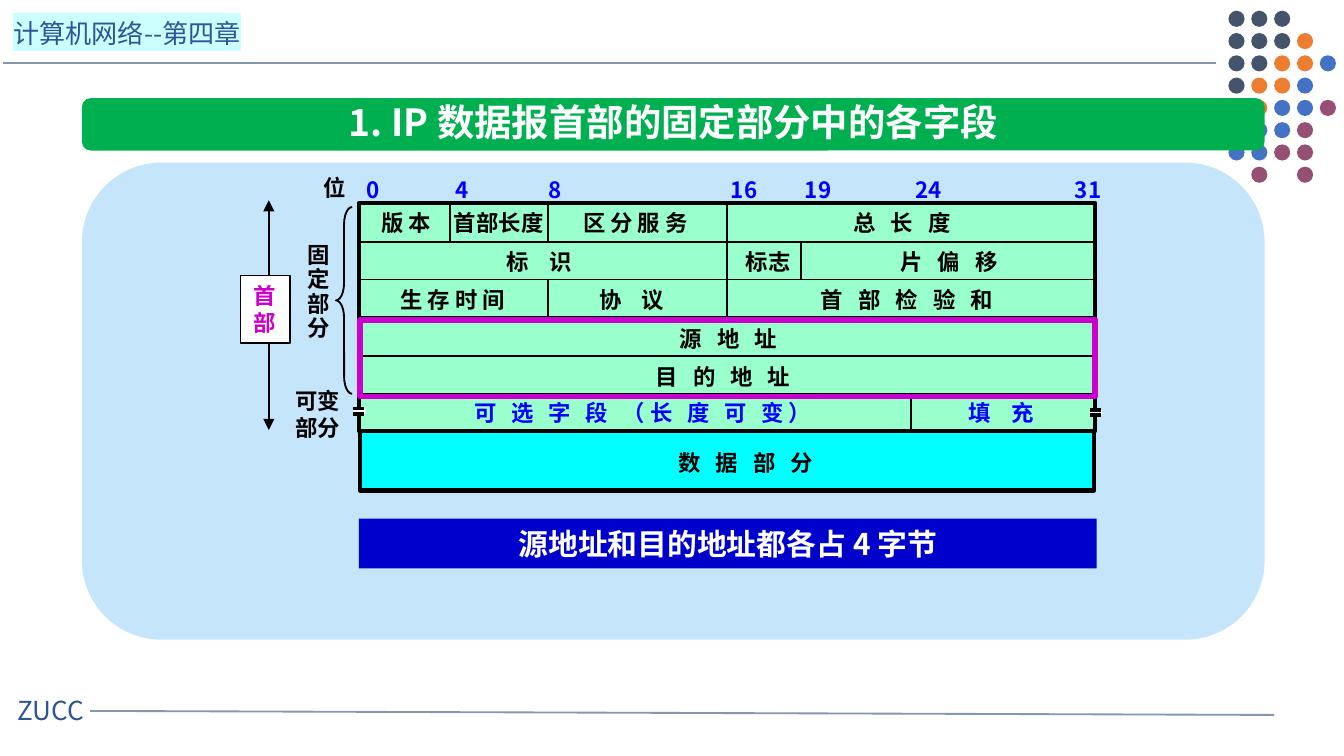
"""Build the slide on the fixed fields of the IP datagram header."""
from lxml.etree import SubElement
from pptx import Presentation
from pptx.dml.color import RGBColor
from pptx.enum.shapes import MSO_CONNECTOR, MSO_SHAPE
from pptx.enum.text import PP_ALIGN
from pptx.oxml.ns import qn
from pptx.util import Inches, Pt

FONT = "Noto Sans CJK SC"
BLACK = RGBColor(0x00, 0x00, 0x00)
WHITE = RGBColor(0xFF, 0xFF, 0xFF)
SLATE = RGBColor(0x44, 0x54, 0x6A)
ORANGE = RGBColor(0xED, 0x7D, 0x31)
AZURE = RGBColor(0x44, 0x72, 0xC4)
PLUM = RGBColor(0x95, 0x4F, 0x72)
RULE = RGBColor(0x84, 0x97, 0xB0)
INK = RGBColor(0x2F, 0x55, 0x97)
GREEN = RGBColor(0x00, 0xB0, 0x50)
PALE = RGBColor(0xC5, 0xE5, 0xFB)
MINT = RGBColor(0x99, 0xFF, 0xCC)
CYAN = RGBColor(0x00, 0xFF, 0xFF)
BLUE = RGBColor(0x00, 0x00, 0xFF)
NAVY = RGBColor(0x00, 0x00, 0xCC)
PINK = RGBColor(0xCC, 0x00, 0xCC)

deck = Presentation()
deck.slide_width, deck.slide_height = Inches(10), Inches(10 * 9 / 16)
slide = deck.slides.add_slide(deck.slide_layouts[6])
shapes = slide.shapes


def draw(kind, box, fill=None, edge=None, width=1):
    shape = shapes.add_shape(kind, *map(Inches, box))
    shape.shadow.inherit = False
    if fill is None:
        shape.fill.background()
    else:
        shape.fill.solid()
        shape.fill.fore_color.rgb = fill
    if edge is None:
        shape.line.fill.background()
    else:
        shape.line.color.rgb = edge
        shape.line.width = Pt(width)
    return shape


def write(shape, text, size=12, color=BLACK, bold=True, align=PP_ALIGN.LEFT,
          wrap=False, gap=0, lead=1, mark=None):
    frame = shape.text_frame
    frame.text = text
    frame.word_wrap = wrap
    for para in frame.paragraphs:
        para.alignment = align
        para.line_spacing = lead
        for run in para.runs:
            run.font.size, run.font.bold = Pt(size), bold
            run.font.color.rgb = color
            props = run.font._element
            if gap:
                props.set("spc", str(gap))
            if mark:
                light = SubElement(props, qn("a:highlight"))
                SubElement(light, qn("a:srgbClr"), val=mark)
            run.font.name = FONT
            SubElement(props, qn("a:ea"), typeface=FONT)


tints = {"S": SLATE, "O": ORANGE, "A": AZURE, "P": PLUM}
dots = ["SSS", "SSSO", "SSOOA", "SOOA", "-OAAP", "-AAP", "AAPP", "-P-P"]
for row, marks in enumerate(dots):
    for col, mark in enumerate(marks):
        if mark in tints:
            spot = (9.14 + 0.17 * col, 0.08 + 1.16 / 7 * row, 0.12, 0.12)
            draw(MSO_SHAPE.OVAL, spot, tints[mark])

draw(MSO_SHAPE.ROUNDED_RECTANGLE, (0.61, 0.73, 8.8, 0.39), GREEN)
draw(MSO_SHAPE.ROUNDED_RECTANGLE, (0.61, 1.21, 8.8, 3.55), PALE)
grid = draw(MSO_SHAPE.RECTANGLE, (2.67, 1.51, 5.48, 1.7), MINT, BLACK, 2)
draw(MSO_SHAPE.RECTANGLE, (2.68, 3.21, 5.46, 0.44), CYAN, BLACK, 2.25)
brace = draw(MSO_SHAPE.LEFT_BRACE, (2.5, 1.54, 0.12, 1.39), None, BLACK)
brace.adjustments[0] = 1.08

lines = [(0.02, 0.47, 9.05, 0.47, RULE, 1), (0.67, 5.29, 9.48, 5.32, RULE, 1)]
rows = [1.8, 2.08, 2.36, 2.65, 2.93]
lines += [(2.67, y, 8.15, y, BLACK, 1) for y in rows]
walls = [(3.35, 1.51, 1.8), (4.08, 1.51, 1.8), (4.08, 2.08, 2.36),
         (5.41, 1.51, 2.36), (6.78, 2.93, 3.21), (5.96, 1.8, 2.08)]
lines += [(x, top, x, end, BLACK, 1) for x, top, end in walls]
for x, y in [(2.63, 3.04), (8.11, 3.05)]:
    draw(MSO_SHAPE.RECTANGLE, (x, y, 0.09, 0.04), WHITE)
    lines += [(x, y + d, x + 0.08, y + d, BLACK, 2) for d in (0, 0.04)]
lines.append((2, 1.49, 2, 3.2, BLACK, 1))

for x, y, right, end, color, width in lines:
    line = shapes.add_connector(MSO_CONNECTOR.STRAIGHT,
                                *map(Inches, (x, y, right, end)))
    line.line.color.rgb = color
    line.line.width = Pt(width)
    SubElement(line._element.spPr, qn("a:effectLst"))
    if y == end == 2.36:
        line.begin_connect(grid, 1)
        line.end_connect(grid, 3)
    if x == 5.41:
        line.begin_connect(grid, 0)
edge = line.line._get_or_add_ln()
for tag in ("a:headEnd", "a:tailEnd"):
    SubElement(edge, qn(tag), type="triangle")

bits = [("0", 2.63), ("4", 3.29), ("8", 3.98), ("16", 5.34), ("19", 5.89),
        ("24", 6.71), ("31", 7.9)]
labels = [(text, x, 1.26, 0.3 if len(text) == 1 else 0.41, BLUE, 0)
          for text, x in bits]
labels += [
    ("位", 2.31, 1.25, 0.37, BLACK, 0),
    ("版 本", 2.74, 1.51, 0.59, BLACK, 0),
    ("首部长度", 3.28, 1.51, 0.87, BLACK, 0),
    ("区 分 服 务", 4.24, 1.51, 1.03, BLACK, 0),
    ("总 长 度", 6.25, 1.51, 1.01, BLACK, 270),
    ("标 识", 3.67, 1.8, 0.74, BLACK, 410),
    ("标志", 5.45, 1.8, 0.54, BLACK, 0),
    ("片 偏 移", 6.6, 1.8, 1.01, BLACK, 270),
    ("生 存 时 间", 2.88, 2.08, 1.03, BLACK, 0),
    ("协 议", 4.36, 2.08, 0.74, BLACK, 410),
    ("首 部 检 验 和", 6.01, 2.08, 1.65, BLACK, 270),
    ("源 地 址", 4.96, 2.37, 1.01, BLACK, 270),
    ("目 的 地 址", 4.78, 2.65, 1.33, BLACK, 270),
    ("可 选 字 段 （长 度 可 变）", 3.43, 2.92, 2.9, BLUE, 260),
    ("填 充", 7.11, 2.92, 0.74, BLUE, 410),
    ("数 据 部 分", 4.95, 3.29, 1.33, BLACK, 270),
    ("可变\n部分", 2.1, 2.83, 0.54, BLACK, 0),
]
for text, x, y, width, color, gap in labels:
    box = shapes.add_textbox(*map(Inches, (x, y, width, 0.3)))
    write(box, text, color=color, gap=gap)

side = shapes.add_textbox(*map(Inches, (2.19, 1.77, 0.37, 0.83)))
write(side, "固\n定\n部\n分", lead=0.9)
head = draw(MSO_SHAPE.RECTANGLE, (1.79, 2.05, 0.37, 0.5), WHITE, BLACK)
write(head, "首\n部", color=PINK)
title = shapes.add_textbox(*map(Inches, (2.37, 0.69, 5.28, 0.44)))
write(title, "1. IP 数据报首部的固定部分中的各字段", 20, WHITE,
      align=PP_ALIGN.CENTER)
note = draw(MSO_SHAPE.RECTANGLE, (2.67, 3.86, 5.49, 0.37), NAVY)
write(note, "源地址和目的地址都各占 4 字节", 16, WHITE,
      align=PP_ALIGN.CENTER, wrap=True)
draw(MSO_SHAPE.RECTANGLE, (2.68, 2.38, 5.47, 0.57), None, PINK, 3)

foot = shapes.add_textbox(*map(Inches, (0.03, 5.12, 0.89, 0.34)))
write(foot, "ZUCC", 14, INK, False, wrap=True)
top = shapes.add_textbox(*map(Inches, (0, 0.08, 2.16, 0.34)))
write(top, "计算机网络--第四章", 14, INK, False, wrap=True, mark="CCFFFF")

deck.save("out.pptx")
